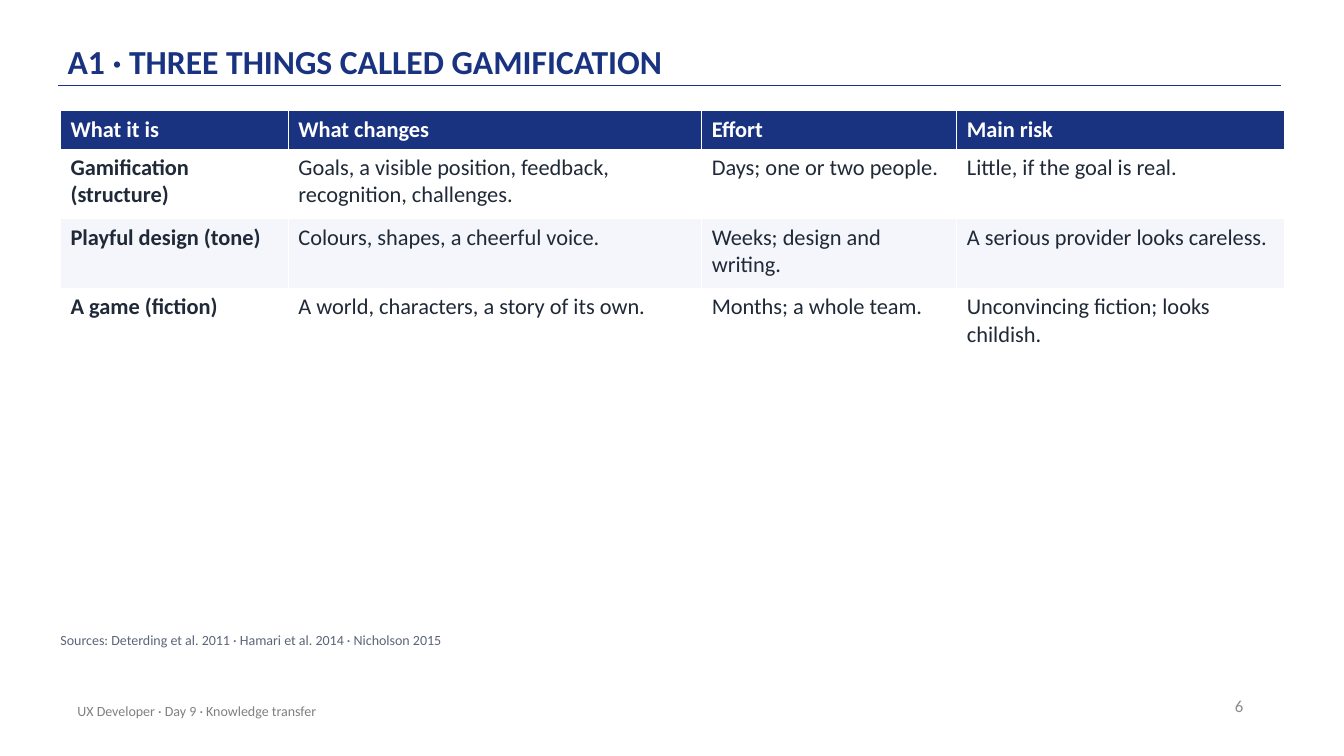
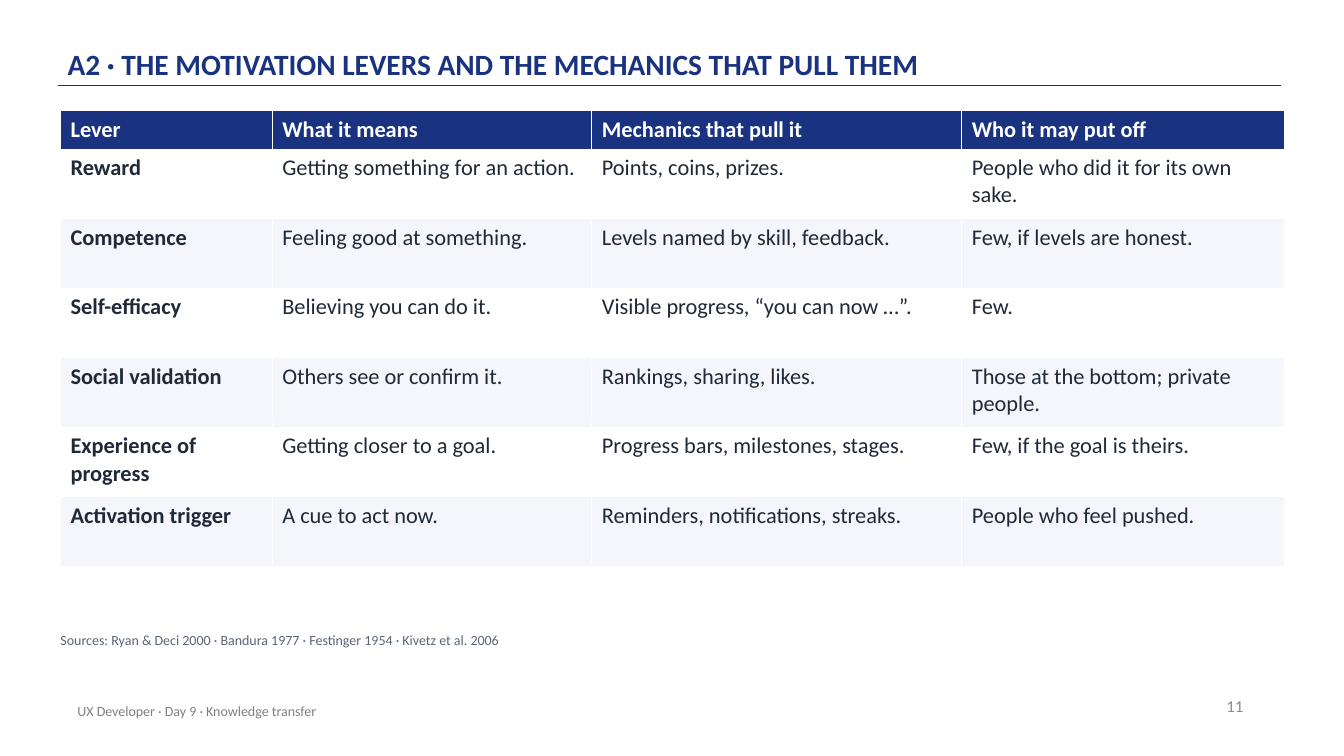
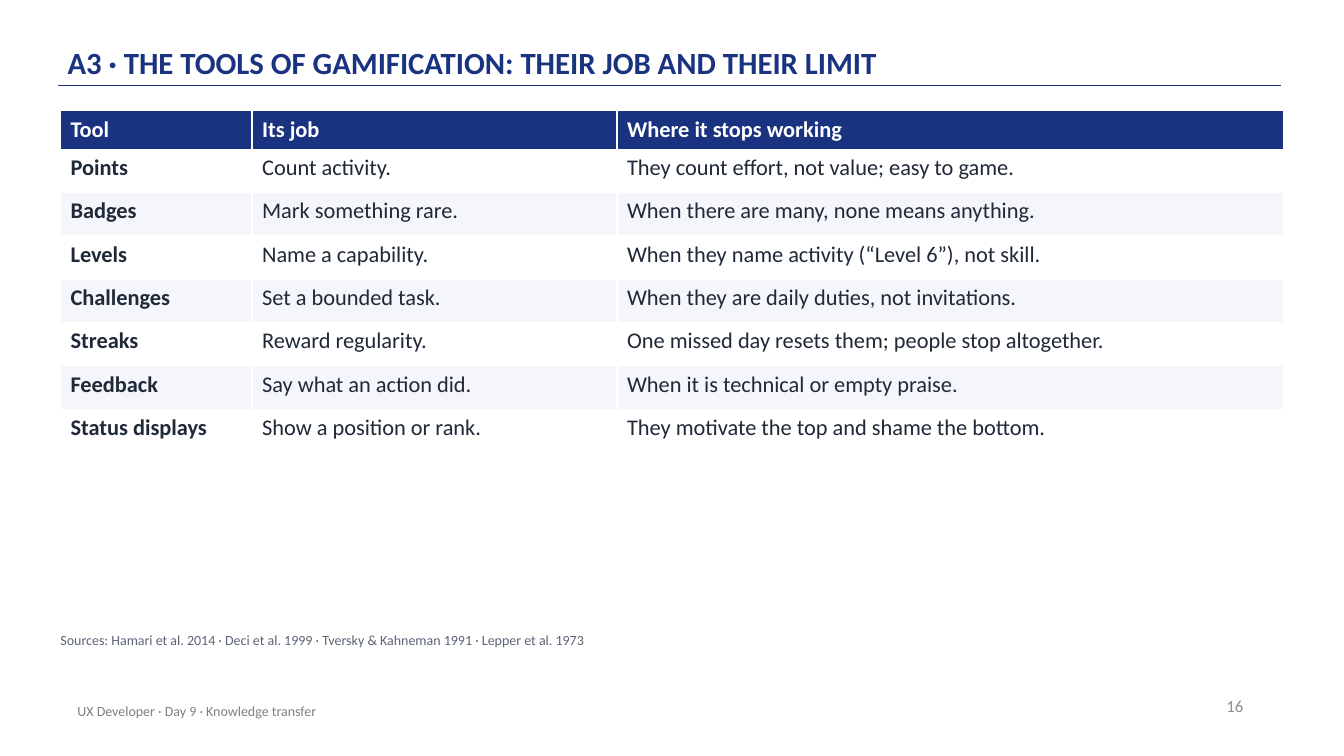
from dataclasses import dataclass
from lxml.etree import SubElement
from pptx import Presentation
from pptx.dml.color import RGBColor
from pptx.enum.shapes import MSO_CONNECTOR
from pptx.enum.text import MSO_ANCHOR, MSO_AUTO_SIZE, PP_ALIGN
from pptx.oxml.ns import qn
from pptx.presentation import Presentation as Deck
from pptx.slide import Slide
from pptx.text.text import TextFrame
from pptx.util import Emu, Pt

EMU_PER_PX = 9144  # 100 px to the inch

FONT = "Calibri"
NAVY = "1A3381"
INK = "1F2937"
SLATE = "5B6577"
GREY = "808080"
PALE_GREY = "8C8C8C"
WHITE = "FFFFFF"
STRIPE = "F4F6FB"

FOOTER = "UX Developer · Day 9 · Knowledge transfer"
HEADER_HEIGHT = 38
TABLE_LEFT, TABLE_TOP = 60, 110


@dataclass(frozen=True)
class TableSlide:
    number: int
    title: str
    title_size: int
    columns: list[int]
    row_heights: list[int]
    rows: list[list[str]]
    sources: str


SLIDES = [
    TableSlide(
        number=6,
        title="A1 · THREE THINGS CALLED GAMIFICATION",
        title_size=24,
        columns=[226, 410, 253, 325],
        row_heights=[69] * 3,
        rows=[
            ["What it is", "What changes", "Effort", "Main risk"],
            ["Gamification (structure)",
             "Goals, a visible position, feedback, recognition, challenges.",
             "Days; one or two people.", "Little, if the goal is real."],
            ["Playful design (tone)", "Colours, shapes, a cheerful voice.",
             "Weeks; design and writing.", "A serious provider looks careless."],
            ["A game (fiction)", "A world, characters, a story of its own.",
             "Months; a whole team.", "Unconvincing fiction; looks childish."],
        ],
        sources="Sources: Deterding et al. 2011 · Hamari et al. 2014 · Nicholson 2015",
    ),
    TableSlide(
        number=11,
        title="A2 · THE MOTIVATION LEVERS AND THE MECHANICS THAT PULL THEM",
        title_size=21,
        columns=[210, 317, 367, 320],
        row_heights=[69] * 6,
        rows=[
            ["Lever", "What it means", "Mechanics that pull it", "Who it may put off"],
            ["Reward", "Getting something for an action.",
             "Points, coins, prizes.", "People who did it for its own sake."],
            ["Competence", "Feeling good at something.",
             "Levels named by skill, feedback.", "Few, if levels are honest."],
            ["Self-efficacy", "Believing you can do it.",
             "Visible progress, “you can now …”.", "Few."],
            ["Social validation", "Others see or confirm it.",
             "Rankings, sharing, likes.", "Those at the bottom; private people."],
            ["Experience of progress", "Getting closer to a goal.",
             "Progress bars, milestones, stages.", "Few, if the goal is theirs."],
            ["Activation trigger", "A cue to act now.",
             "Reminders, notifications, streaks.", "People who feel pushed."],
        ],
        sources="Sources: Ryan & Deci 2000 · Bandura 1977 · Festinger 1954 · Kivetz et al. 2006",
    ),
    TableSlide(
        number=16,
        title="A3 · THE TOOLS OF GAMIFICATION: THEIR JOB AND THEIR LIMIT",
        title_size=22,
        columns=[190, 362, 661],
        row_heights=[43] * 6 + [69],
        rows=[
            ["Tool", "Its job", "Where it stops working"],
            ["Points", "Count activity.", "They count effort, not value; easy to game."],
            ["Badges", "Mark something rare.", "When there are many, none means anything."],
            ["Levels", "Name a capability.", "When they name activity (“Level 6”), not skill."],
            ["Challenges", "Set a bounded task.", "When they are daily duties, not invitations."],
            ["Streaks", "Reward regularity.", "One missed day resets them; people stop altogether."],
            ["Feedback", "Say what an action did.", "When it is technical or empty praise."],
            ["Status displays", "Show a position or rank.",
             "They motivate the top and shame the bottom."],
        ],
        sources="Sources: Hamari et al. 2014 · Deci et al. 1999 · Tversky & Kahneman 1991"
                " · Lepper et al. 1973",
    ),
]


def px(length: int) -> Emu:
    return Emu(length * EMU_PER_PX)


def rgb(code: str) -> RGBColor:
    return RGBColor.from_string(code)


def write(tf: TextFrame, text: str, *, size: int, color: str, bold: bool = False,
          align: PP_ALIGN = PP_ALIGN.LEFT, line_spacing: float | None = None,
          space_after: int | None = None) -> None:
    p = tf.paragraphs[0]
    p.alignment = align
    if line_spacing is not None:
        p.line_spacing = line_spacing
    if space_after is not None:
        p.space_after = Pt(space_after)
    r = p.add_run()
    r.text = text
    r.font.name = FONT
    r.font.size = Pt(size)
    r.font.bold = bold
    r.font.color.rgb = rgb(color)


def set_insets(tf: TextFrame, horizontal: int, vertical: int) -> None:
    tf.margin_left = tf.margin_right = px(horizontal)
    tf.margin_top = tf.margin_bottom = px(vertical)


def add_text(s: Slide, left: int, top: int, width: int, height: int) -> TextFrame:
    tf = s.shapes.add_textbox(px(left), px(top), px(width), px(height)).text_frame
    tf.word_wrap = True
    return tf


def add_title(s: Slide, text: str, size: int) -> None:
    sp = s.shapes.title
    sp.left, sp.top, sp.width, sp.height = px(67), px(12), px(1100), px(72)
    tf = sp.text_frame
    tf.auto_size = MSO_AUTO_SIZE.NONE
    tf.vertical_anchor = MSO_ANCHOR.BOTTOM
    set_insets(tf, 0, 3)
    write(tf, text, size=size, color=NAVY, bold=True, line_spacing=0.9)


def add_title_rule(s: Slide) -> None:
    rule = s.shapes.add_connector(MSO_CONNECTOR.STRAIGHT, px(58), px(85), px(1271), px(85))
    rule.line.color.rgb = rgb(NAVY)
    rule.line.width = Pt(1)
    SubElement(rule._element.spPr, qn("a:effectLst"))


def add_footer(s: Slide, number: int) -> None:
    tf = add_text(s, 943, 680, 300, 40)
    tf.vertical_anchor = MSO_ANCHOR.MIDDLE
    write(tf, str(number), size=12, color=PALE_GREY, align=PP_ALIGN.RIGHT)
    tf = add_text(s, 67, 685, 670, 40)
    tf.vertical_anchor = MSO_ANCHOR.MIDDLE
    write(tf, FOOTER, size=10, color=GREY)


def add_striped_table(s: Slide, content: TableSlide) -> None:
    """Draw the table; the default table style supplies its white borders."""
    heights = [HEADER_HEIGHT, *content.row_heights]
    table = s.shapes.add_table(
        len(heights), len(content.columns), px(TABLE_LEFT), px(TABLE_TOP),
        px(sum(content.columns)), px(sum(heights))).table
    for column, width in zip(table.columns, content.columns):
        column.width = px(width)
    for i, (height, texts) in enumerate(zip(heights, content.rows)):
        table.rows[i].height = px(height)
        header = i == 0
        fill = NAVY if header else WHITE if i % 2 else STRIPE
        for j, text in enumerate(texts):
            cell = table.cell(i, j)
            cell.fill.solid()
            cell.fill.fore_color.rgb = rgb(fill)
            write(cell.text_frame, text, size=16, color=WHITE if header else INK,
                  bold=header or j == 0)


def add_sources(s: Slide, text: str) -> None:
    tf = add_text(s, 60, 627, 1210, 30)
    tf.auto_size = MSO_AUTO_SIZE.SHAPE_TO_FIT_TEXT
    set_insets(tf, 0, 0)
    write(tf, text, size=10, color=SLATE, space_after=6)


def add_table_slide(prs: Deck, content: TableSlide) -> None:
    s = prs.slides.add_slide(prs.slide_layouts.get_by_name("Title Only"))
    add_title_rule(s)
    add_title(s, content.title, content.title_size)
    add_footer(s, content.number)
    add_striped_table(s, content)
    add_sources(s, content.sources)


def main() -> None:
    prs = Presentation()
    prs.slide_width, prs.slide_height = px(1333), px(750)
    for content in SLIDES:
        add_table_slide(prs, content)
    prs.save("out.pptx")


if __name__ == "__main__":
    main()
